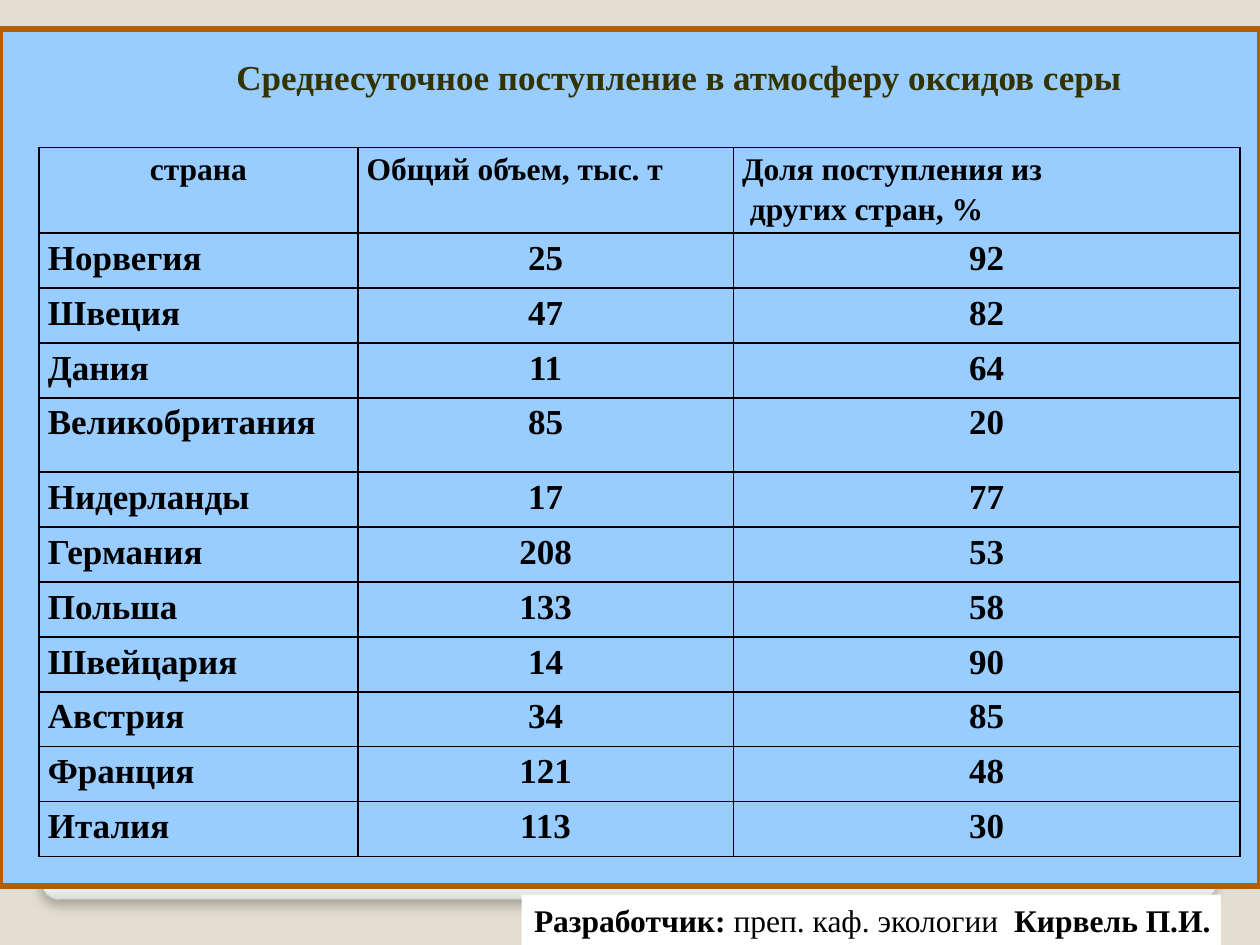
from dataclasses import dataclass

from lxml import etree
from pptx import Presentation
from pptx.dml.color import RGBColor
from pptx.enum.shapes import MSO_SHAPE
from pptx.enum.text import MSO_ANCHOR, PP_ALIGN
from pptx.oxml import parse_xml
from pptx.oxml.ns import nsdecls, qn
from pptx.util import Inches, Pt

RECT, ROUND = MSO_SHAPE.RECTANGLE, MSO_SHAPE.ROUNDED_RECTANGLE
TOP = MSO_ANCHOR.TOP
LEFT, CENTER, JUSTIFY = PP_ALIGN.LEFT, PP_ALIGN.CENTER, PP_ALIGN.JUSTIFY


@dataclass(frozen=True)
class Theme:
    """Colours, font and type sizes of the slide."""
    font: str = "Times New Roman"
    back: str = "E3DED1"
    white: str = "FFFFFF"
    card_edge: str = "DADADA"
    card_line: str = "A4A4A4"
    panel: str = "99CCFF"
    frame: str = "B25E07"
    title: str = "333300"
    ink: str = "000000"
    big: int = 20
    small: int = 18


T = Theme()
HEADER = [["страна"], ["Общий объем, тыс. т"],
          ["Доля поступления из", " других стран, %"]]
COUNTRIES = [
    ("Норвегия", 25, 92), ("Швеция", 47, 82), ("Дания", 11, 64),
    ("Великобритания", 85, 20), ("Нидерланды", 17, 77),
    ("Германия", 208, 53), ("Польша", 133, 58), ("Швейцария", 14, 90),
    ("Австрия", 34, 85), ("Франция", 121, 48), ("Италия", 113, 30),
]
COLUMNS = [2.53, 2.98, 4.02]
TABLE_HEIGHT, HEADER_HEIGHT = 5.63, 0.68
TALL_ROW, TALL_HEIGHT = 4, 0.59


def rgb(value):
    """Turn a hex string into a colour."""
    return RGBColor.from_string(value)


def box(at):
    """Convert left, top, width and height to lengths."""
    return [Inches(v) for v in at]


def add_run(p, text, size, color=T.ink, bold=True):
    """Add one formatted run to a paragraph."""
    r = p.add_run()
    r.text = text
    r.font.name, r.font.size, r.font.bold = T.font, Pt(size), bold
    r.font.color.rgb = rgb(color)


def add_block(s, kind, at, fill=None, line=None, width=0):
    """Add a flat preset shape with an optional fill and outline."""
    sp = s.shapes.add_shape(kind, *box(at))
    sp.shadow.inherit = False
    if fill:
        sp.fill.solid()
        sp.fill.fore_color.rgb = rgb(fill)
    if line:
        sp.line.color.rgb = rgb(line)
        sp.line.width = Pt(width)
    else:
        sp.line.fill.background()
    return sp


def add_card(s):
    """Add the rounded white card with its soft shadow."""
    sp = add_block(s, ROUND, (0.33, 0.36, 9.33, 6.78), line=T.card_line, width=0.16)
    sp.adjustments[0] = 0.021
    sp.fill.gradient()
    sp.fill.gradient_angle = 270
    stops = zip(sp.fill.gradient_stops, (0.98, 1), (T.white, T.card_edge))
    for stop, position, color in stops:
        stop.position = position
        stop.color.rgb = rgb(color)
    effects = sp._element.spPr.find(qn("a:effectLst"))
    shadow = etree.SubElement(effects, qn("a:outerShdw"), blurRad=str(Pt(6)),
                              dist=str(Pt(4)), dir="5400000", algn="t", rotWithShape="0")
    color = etree.SubElement(shadow, qn("a:srgbClr"), val=T.ink)
    etree.SubElement(color, qn("a:alpha"), val="25000")


def set_title(s, text):
    """Place the title placeholder in front and fill it."""
    sp = s.shapes.title
    s.shapes._spTree.append(sp._element)
    sp.left, sp.top, sp.width, sp.height = box((0.39, 0.39, 10, 0.55))
    tf = sp.text_frame
    tf.word_wrap, tf.vertical_anchor = True, TOP
    p = tf.paragraphs[0]
    p.alignment = CENTER
    add_run(p, text, T.big, T.title)


def set_borders(cell):
    """Draw a thin line on all four sides of a cell."""
    tc_pr = cell._tc.get_or_add_tcPr()
    for i, side in enumerate("LRTB"):
        tc_pr.insert(i, parse_xml(
            f'<a:ln{side} {nsdecls("a")} w="{Pt(1)}"><a:solidFill>'
            f'<a:srgbClr val="{T.ink}"/></a:solidFill></a:ln{side}>'))


def fill_cell(cell, lines, size, align):
    """Write the lines of a cell and format it."""
    cell.margin_left = cell.margin_right = Inches(0.07)
    cell.margin_top = cell.margin_bottom = 0
    cell.fill.background()
    set_borders(cell)
    tf = cell.text_frame
    for i, line in enumerate(lines):
        p = tf.add_paragraph() if i else tf.paragraphs[0]
        p.alignment, p.line_spacing = align, 1.15
        p.space_after = Pt(10 if len(lines) == 1 else 0)
        add_run(p, line, size)


def add_country_table(s):
    """Add the table of sulphur oxide inflow by country."""
    count = len(COUNTRIES) + 1
    at = (0.31, 1.17, sum(COLUMNS), TABLE_HEIGHT)
    table = s.shapes.add_table(count, len(COLUMNS), *box(at)).table
    table.first_row = table.horz_banding = False
    for column, width in zip(table.columns, COLUMNS):
        column.width = Inches(width)
    height = (TABLE_HEIGHT - HEADER_HEIGHT - TALL_HEIGHT) / (count - 2)
    special = {0: HEADER_HEIGHT, TALL_ROW: TALL_HEIGHT}
    for i, row in enumerate(table.rows):
        row.height = Inches(special.get(i, height))
    for c, lines in enumerate(HEADER):
        fill_cell(table.cell(0, c), lines, T.small, JUSTIFY if c else CENTER)
    for r, values in enumerate(COUNTRIES, 1):
        for c, value in enumerate(values):
            fill_cell(table.cell(r, c), [str(value)], T.big, CENTER if c else JUSTIFY)


def add_credit(s):
    """Add the author line at the foot of the slide."""
    sp = add_block(s, RECT, (4.14, 7.1, 5.55, 0.4), T.white)
    tf = sp.text_frame
    tf.word_wrap, tf.vertical_anchor = True, TOP
    tf.margin_right = 0
    p = tf.paragraphs[0]
    p.alignment = LEFT
    add_run(p, "Разработчик:", T.small)
    add_run(p, " преп. каф. экологии  ", T.small, bold=False)
    add_run(p, "Кирвель П.И.", T.small)


def main():
    """Build the slide and save it."""
    prs = Presentation()
    prs.slide_width, prs.slide_height = Inches(10), Inches(7.5)
    s = prs.slides.add_slide(prs.slide_layouts[5])
    s.background.fill.solid()
    s.background.fill.fore_color.rgb = rgb(T.back)
    add_card(s)
    add_block(s, RECT, (0, 0.23, 10, 6.8), T.panel, T.frame, 3.35)
    set_title(s, "Среднесуточное поступление в атмосферу оксидов серы")
    add_country_table(s)
    add_credit(s)
    prs.save("out.pptx")


if __name__ == "__main__":
    main()
